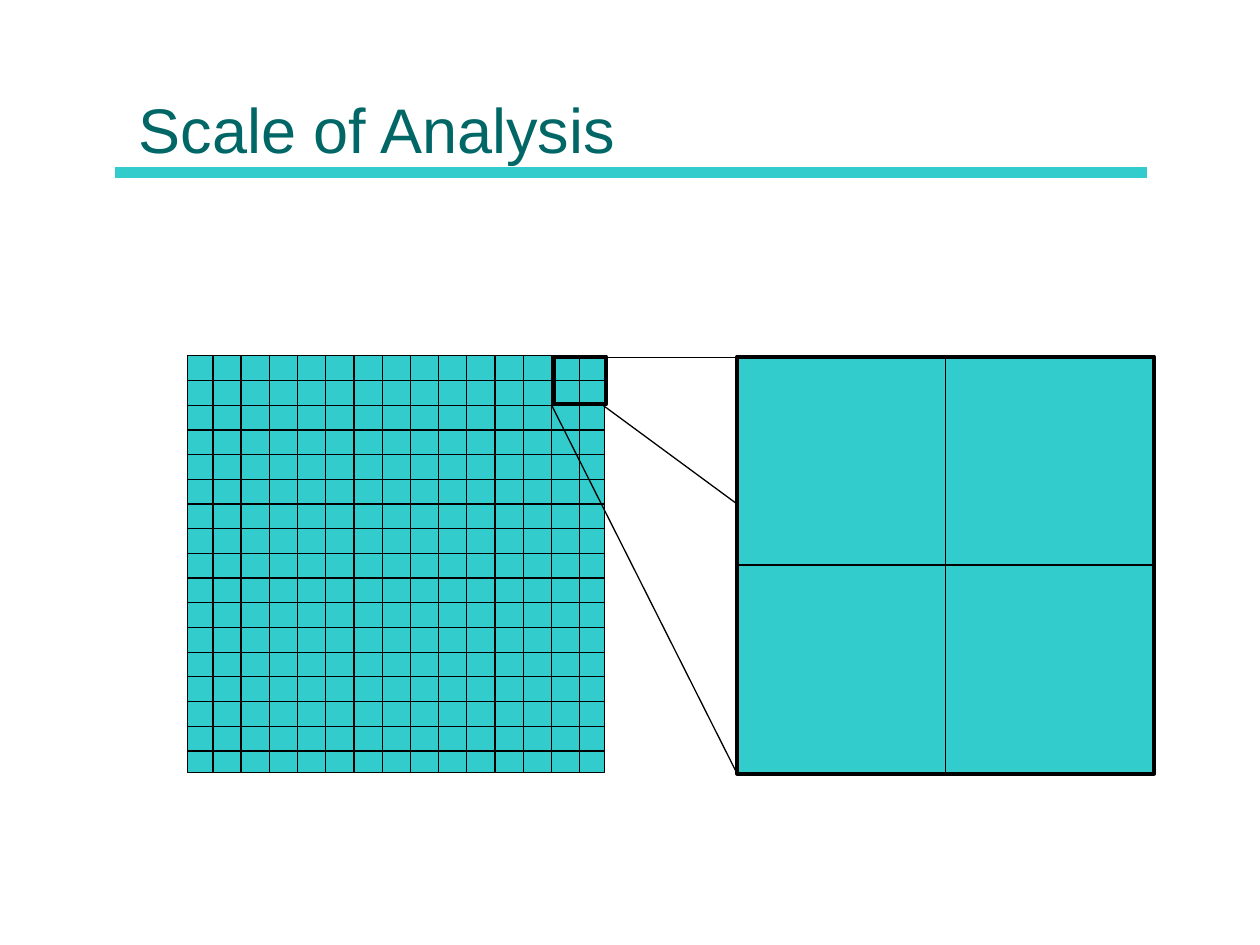
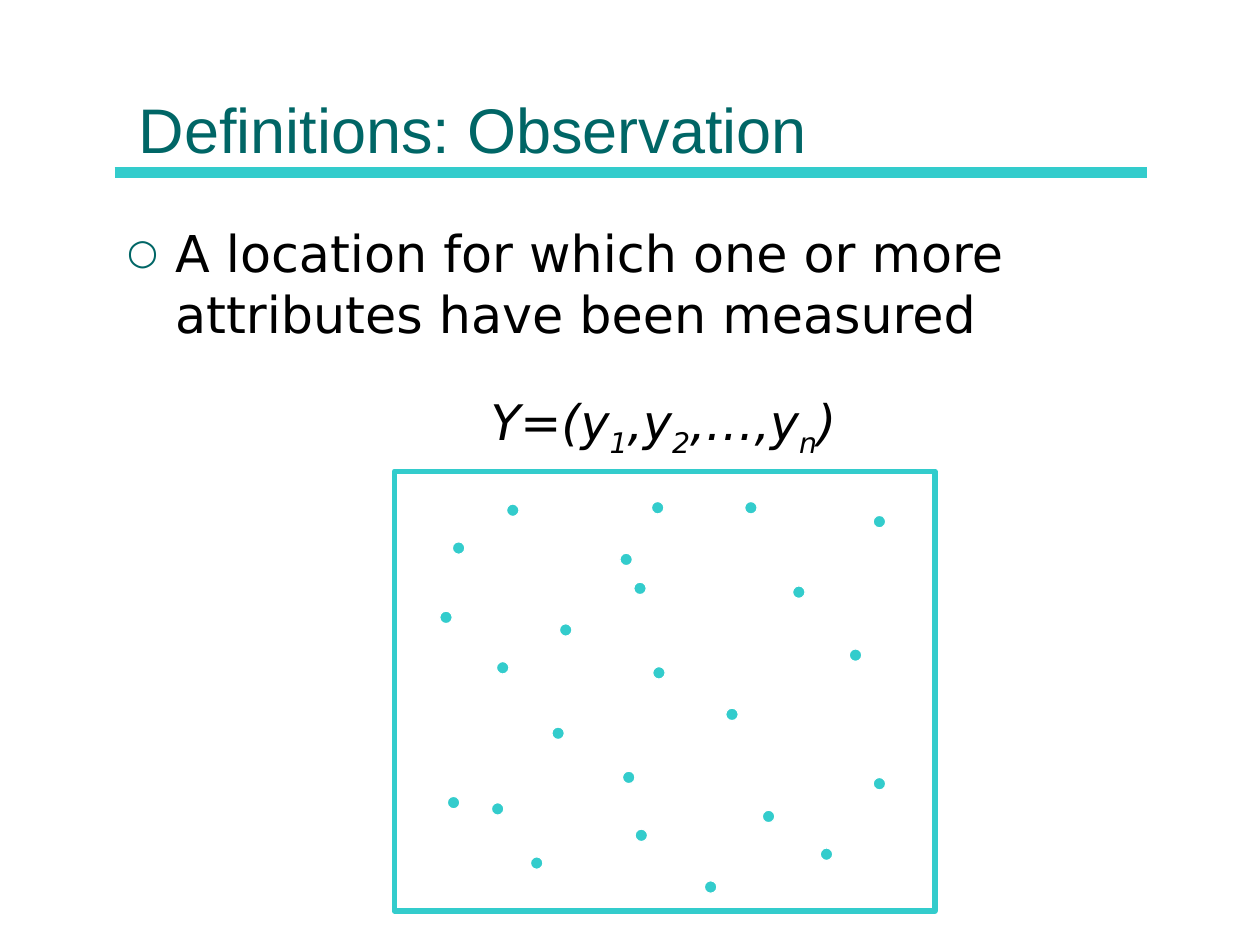
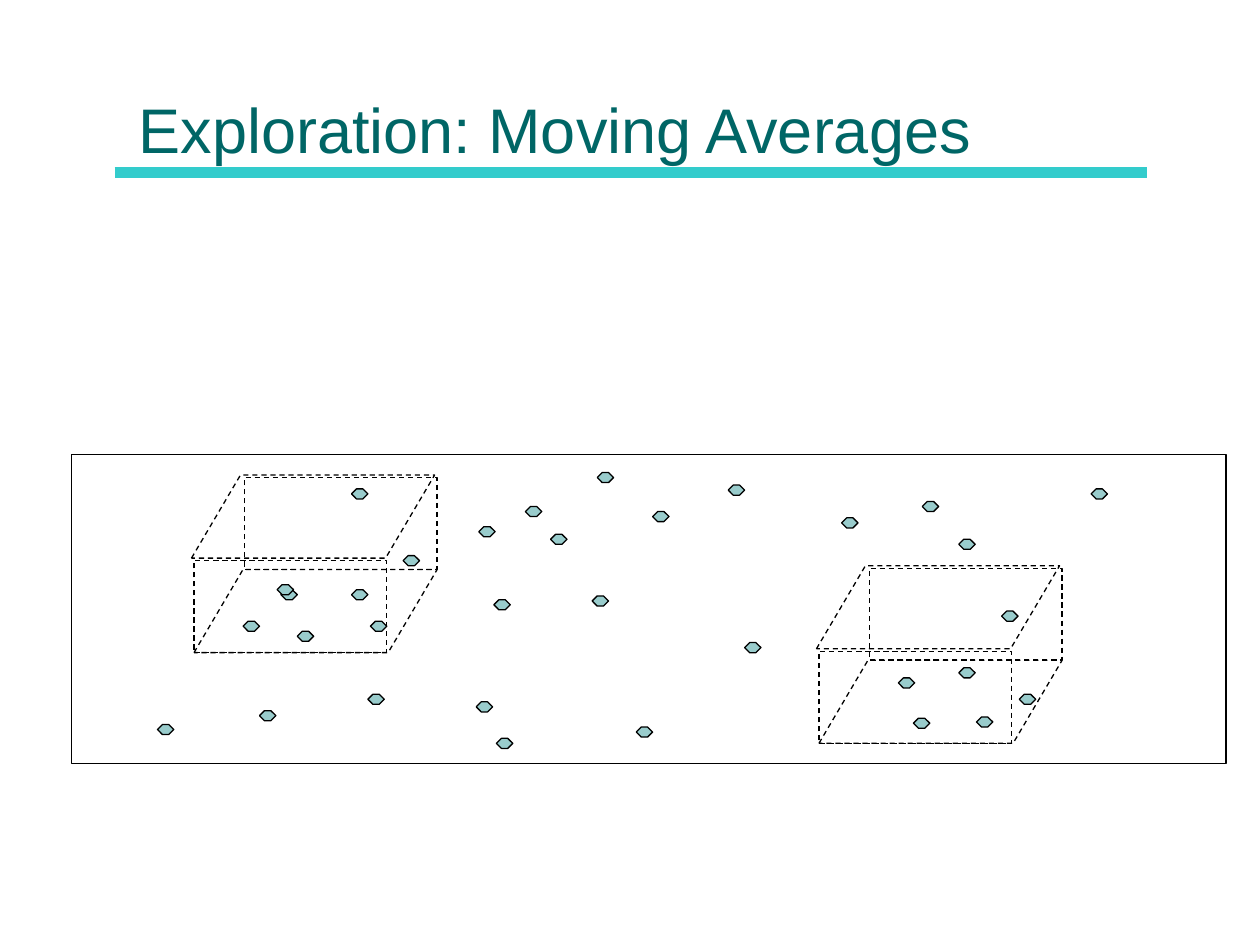
from pptx import Presentation
from pptx.dml.color import RGBColor
from pptx.enum.dml import MSO_LINE
from pptx.enum.shapes import MSO_CONNECTOR, MSO_SHAPE
from pptx.enum.text import MSO_ANCHOR, MSO_AUTO_SIZE, PP_ALIGN
from pptx.oxml.ns import qn
from pptx.util import Emu, Inches, Pt
from lxml.etree import SubElement

# Shared look: the slide is a grid of 10 columns by 7.5 rows of square cells
WIDTH, HEIGHT = Inches(10), Inches(7.5)
CELL = WIDTH / 10
COLORS = {"title": "006666", "accent": "33CCCC", "sample": "99CCCC",
          "ink": "000000", "paper": "FFFFFF"}
TITLE_FONT, BODY_FONT = "Arial", "DejaVu Sans"
THIN, HEAVY = 0.75, 2.25
CONTENT_LEFT, CONTENT_WIDTH = 0.91, 8.19

# Left and top of the observation dots
OBSERVATIONS = [
    (5.03, 4.62), (5.17, 3.98), (4.02, 4), (6.93, 4.09), (4.92, 4.39),
    (4.94, 6.12), (6.51, 6.73), (6.29, 4.65), (4.44, 4.95), (3.59, 4.3),
    (5.18, 5.29), (3.49, 4.85), (5.59, 6.99), (5.91, 3.98), (4.38, 5.77),
    (6.05, 6.43), (5.76, 5.62), (5.04, 6.58), (6.93, 6.17), (6.74, 5.15),
    (3.94, 5.25), (4.21, 6.8), (3.9, 6.37), (3.55, 6.32),
]
# Left and top of the samples that the windows move over
SAMPLES = [
    (3.92, 4.76), (7.25, 5.7), (7.13, 5.38), (3.8, 4.18), (7.61, 4.28),
    (1.93, 4.93), (2.36, 5.01), (4.37, 4.24), (7.32, 3.98), (2.79, 3.88),
    (7.95, 4.85), (8.66, 3.88), (7.61, 5.3), (6.68, 4.11), (3.78, 5.57),
    (2.06, 5.64), (1.25, 5.75), (7.75, 5.69), (2.23, 4.68), (4.74, 3.75),
    (4.7, 4.73), (5.78, 3.85), (2.2, 4.64), (5.05, 5.77), (5.91, 5.1),
    (8.09, 5.51), (3.2, 4.41), (4.17, 4.02), (2.92, 5.51), (2.94, 4.93),
    (2.79, 4.68), (3.94, 5.86), (5.18, 4.06),
]


def cells(*counts):
    return [Emu(round(count * CELL)) for count in counts]


def color(name):
    return RGBColor.from_string(COLORS[name])


def style_line(line, name, width, dashed=False):
    line.color.rgb = color(name)
    line.width = Pt(width)
    if dashed:
        line.dash_style = MSO_LINE.DASH


def style_font(font, name, size, color_name):
    font.name, font.size = name, Pt(size)
    font.color.rgb = color(color_name)


# Elements
def add_outline(shapes, kind, box, fill=None, line="ink", width=THIN,
                dashed=False, slant=None):
    shape = shapes.add_shape(kind, *cells(*box))
    shape.shadow.inherit = False
    if fill:
        shape.fill.solid()
        shape.fill.fore_color.rgb = color(fill)
    else:
        shape.fill.background()
    style_line(shape.line, line, width, dashed)
    if slant is not None:
        shape.adjustments[0] = slant
    return shape


def add_line(shapes, start, end, name="ink", width=THIN):
    line = shapes.add_connector(MSO_CONNECTOR.STRAIGHT, *cells(*start, *end))
    SubElement(line.element.spPr, qn("a:effectLst"))
    style_line(line.line, name, width)
    return line


def add_divided_square(shapes, left, top, side, columns, rows, width):
    add_outline(shapes, MSO_SHAPE.RECTANGLE, (left, top, side, side),
                fill="accent", width=width)
    for y in rows:
        add_line(shapes, (left, y), (left + side, y))
    for x in columns:
        add_line(shapes, (x, top), (x, top + side))


def add_window(slide, left, top):
    """A dashed box in perspective: front, lid, floor and back."""
    shapes = slide.shapes.add_group_shape().shapes
    for kind, x, y, width, height, slant in (
            (MSO_SHAPE.RECTANGLE, 0.02, 0.68, 1.53, 0.73, None),
            (MSO_SHAPE.PARALLELOGRAM, 0, 0, 1.93, 0.66, 0.59),
            (MSO_SHAPE.PARALLELOGRAM, 0.02, 0.75, 1.93, 0.66, 0.59),
            (MSO_SHAPE.RECTANGLE, 0.42, 0.02, 1.53, 0.73, None)):
        add_outline(shapes, kind, (left + x, top + y, width, height),
                    dashed=True, slant=slant)


def place(shape, left, top, width, height):
    shape.left, shape.top, shape.width, shape.height = cells(
        left, top, width, height)
    shape.text_frame.word_wrap = True
    shape.text_frame.auto_size = MSO_AUTO_SIZE.NONE


def add_titled_slide(presentation, title, layout="Title Only"):
    slide = presentation.slides.add_slide(
        presentation.slide_layouts.get_by_name(layout))
    shape = slide.shapes.title
    place(shape, 1, 0.12, 8, 1.25)
    shape.text_frame.vertical_anchor = MSO_ANCHOR.BOTTOM
    shape.text_frame.text = title
    paragraph = shape.text_frame.paragraphs[0]
    paragraph.alignment = PP_ALIGN.LEFT
    style_font(paragraph.font, TITLE_FONT, 36, "title")
    return slide


def add_title_rule(presentation, slide):
    """Draw the rule once and hand it to the master for every slide."""
    y = 1.37
    rule = add_line(slide.shapes, (CONTENT_LEFT, y),
                    (CONTENT_LEFT + CONTENT_WIDTH, y), "accent", 6)
    rule.element.nvCxnSpPr.cNvPr.id = 10
    presentation.slide_master.shapes.element.append(rule.element)


def add_bullet(paragraph):
    properties = paragraph._p.get_or_add_pPr()
    indent = Inches(0.38)
    properties.set("marL", str(indent))
    properties.set("indent", str(-indent))
    bullet_color = SubElement(properties, qn("a:buClr"))
    SubElement(bullet_color, qn("a:srgbClr"), val=COLORS["title"])
    SubElement(properties, qn("a:buSzPct"), val="70000")
    SubElement(properties, qn("a:buFont"), typeface=BODY_FONT)
    SubElement(properties, qn("a:buChar"), char="○")


def add_formula(slide, box, parts):
    """Set parts that are by turns on the line and below it."""
    shape = slide.shapes.add_textbox(*cells(*box))
    shape.text_frame.word_wrap = True
    paragraph = shape.text_frame.paragraphs[0]
    paragraph.alignment = PP_ALIGN.CENTER
    style_font(paragraph.font, BODY_FONT, 28, "ink")
    paragraph.font.italic = True
    for index, part in enumerate(parts):
        run = paragraph.add_run()
        run.text = part
        if index % 2:
            run._r.get_or_add_rPr().set("baseline", "-25000")


# Slides
def build_scale(presentation):
    slide = add_titled_slide(presentation, "Scale of Analysis")
    add_title_rule(presentation, slide)
    side = 3.31

    # Fine grid
    columns = [1.69 + (4.6 - 1.69) / 13 * index for index in range(14)]
    rows = [3.02 + (5.96 - 3.02) / 15 * index for index in range(16)]
    fine = slide.shapes.add_group_shape().shapes
    add_divided_square(fine, 1.49, 2.82, side, columns, rows, THIN)

    # Enlarged corner with its guide lines
    left, top = 5.85, 2.83
    detail = slide.shapes.add_group_shape().shapes
    add_divided_square(detail, left, top, side, [left + side / 2],
                       [top + side / 2], HEAVY)
    for start, end_y in (((4.38, 2.84), 2.84), ((4.38, 3.22), top + side),
                         ((4.79, 3.22), 4)):
        add_line(detail, start, (left, end_y))
    add_outline(detail, MSO_SHAPE.RECTANGLE, (4.4, top, 0.41, 0.38),
                width=HEAVY)


def build_observation(presentation):
    slide = add_titled_slide(presentation, "Definitions: Observation",
                             "Title and Content")
    body = slide.placeholders[1]
    place(body, CONTENT_LEFT, 1.71, CONTENT_WIDTH, 4.5)
    body.text_frame.text = ("A location for which one or more attributes "
                            "have been measured")
    paragraph = body.text_frame.paragraphs[0]
    add_bullet(paragraph)
    paragraph.space_before = Pt(0)
    style_font(paragraph.font, BODY_FONT, 29, "ink")

    add_formula(slide, (3.12, 3.06, 4.29, 0.63),
                ["Y=(y", "1", ",y", "2", ",…,y", "n", ")"])
    add_outline(slide.shapes, MSO_SHAPE.RECTANGLE, (3.13, 3.74, 4.29, 3.49),
                line="accent", width=3)
    for left, top in OBSERVATIONS:
        add_outline(slide.shapes, MSO_SHAPE.OVAL, (left, top, 0.1, 0.1),
                    fill="accent", line="paper")


def build_moving_averages(presentation):
    slide = add_titled_slide(presentation, "Exploration: Moving Averages")
    add_outline(slide.shapes, MSO_SHAPE.PARALLELOGRAM,
                (0.57, 3.61, 9.16, 2.45), slant=-0.49)
    for left, top in SAMPLES:
        add_outline(slide.shapes, MSO_SHAPE.OCTAGON, (left, top, 0.13, 0.08),
                    fill="sample", slant=0.5)
    add_window(slide, 1.52, 3.77)
    add_window(slide, 6.48, 4.49)


def main():
    presentation = Presentation()
    presentation.slide_width, presentation.slide_height = WIDTH, HEIGHT
    build_scale(presentation)
    build_observation(presentation)
    build_moving_averages(presentation)
    presentation.save("out.pptx")


if __name__ == "__main__":
    main()
